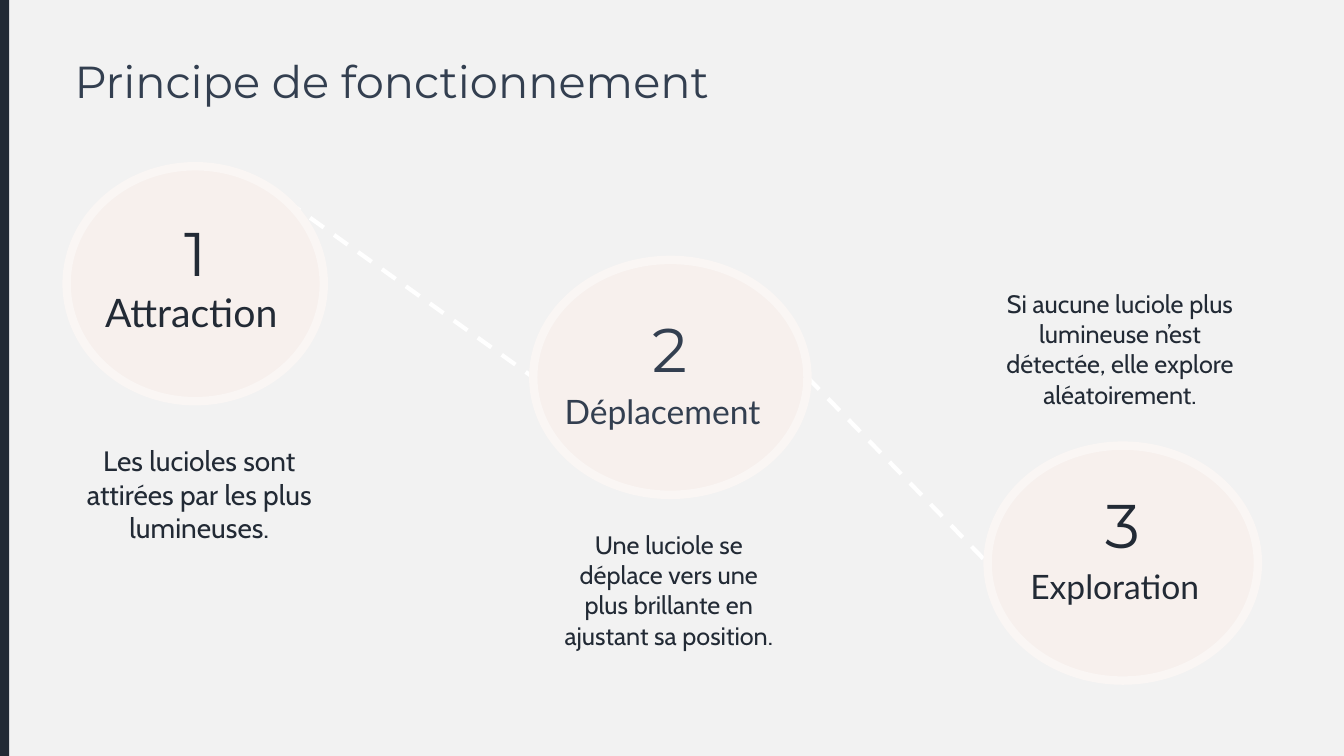
from math import cos, radians, sin

from lxml.etree import SubElement
from pptx import Presentation
from pptx.dml.color import RGBColor
from pptx.enum.dml import MSO_LINE
from pptx.enum.shapes import MSO_CONNECTOR as CONN, MSO_SHAPE as SHAPE
from pptx.enum.text import PP_ALIGN as ALIGN
from pptx.oxml.ns import qn
from pptx.util import Cm, Pt

DARK, SLATE = "222A35", "333F50"
LABEL_W, LABEL_H = 5.97, 3.33
STAGES = [
    dict(box=(1.68, 4.19, 6.48, 5.92), number="1", name="Attraction", size=28,
         color=DARK, label_dy=1.09, indent=0.2, lead=0,
         note="Les lucioles sont attirées par les plus lumineuses.",
         note_box=(1.57, 11.05, 6.91, 3.68), note_size=20),
    dict(box=(13.44, 6.55, 6.91, 5.92), number="2", name="Déplacement", size=24,
         color=SLATE, label_dy=1.17, indent=0.4, lead=4,
         note="Une luciole se déplace vers une plus brillante en ajustant sa position.",
         note_box=(13.87, 13.21, 5.97, 4.11), note_size=18),
    dict(box=(24.89, 11.23, 6.81, 5.92), number="3", name="Exploration", size=24,
         color=DARK, label_dy=0.91, indent=0.4, lead=4,
         note="Si aucune luciole plus lumineuse n’est détectée, elle explore aléatoirement.",
         note_box=(24.82, 7.14, 6.81, 3.33), note_size=18),
]


def rgb(value):
    return RGBColor.from_string(value)


def cm(values):
    return [Cm(v) for v in values]


def add_run(p, text, size, font, color):
    r = p.add_run()
    r.text = text
    r.font.size = Pt(size)
    r.font.name = font
    r.font.color.rgb = rgb(color)


def add_box(s, box):
    tf = s.shapes.add_textbox(*cm(box)).text_frame
    tf.word_wrap = True
    return tf


def add_shape(s, kind, box, fill, line=None):
    sp = s.shapes.add_shape(kind, *cm(box))
    sp.shadow.inherit = False
    sp.fill.solid()
    sp.fill.fore_color.rgb = rgb(fill)
    if line:
        sp.line.color.rgb = rgb(line)
        sp.line.width = Pt(6)
    else:
        sp.line.fill.background()


def rim_point(box, angle):
    x, y, w, h = box
    a = radians(angle)
    return x + w / 2 * (1 + cos(a)), y + h / 2 * (1 - sin(a))


def add_link(s, start, end):
    c = s.shapes.add_connector(CONN.STRAIGHT, *cm(start + end))
    c.line.color.rgb = rgb("FFFFFF")
    c.line.width = Pt(3)
    c.line.dash_style = MSO_LINE.DASH
    SubElement(c.element.spPr, qn("a:effectLst"))


def add_header(s, box):
    p = add_box(s, box).paragraphs[0]
    add_run(p, "Principe de fonctionnement", 32, "Montserrat", SLATE)


def add_stage(s, box, number, name, size, color, label_dy, indent, lead,
              note, note_box, note_size):
    x, y, w, h = box
    add_shape(s, SHAPE.OVAL, box, "F7F0ED", "FAF6F4")

    tf = add_box(s, (x + (w - LABEL_W) / 2, y + label_dy, LABEL_W, LABEL_H))
    p = tf.paragraphs[0]
    p.alignment = ALIGN.CENTER
    add_run(p, number, 44, "Montserrat", color)
    p = tf.add_paragraph()
    p.alignment = ALIGN.CENTER
    p.space_before = Pt(lead)
    p._p.get_or_add_pPr().set("marR", str(Cm(indent)))
    add_run(p, name, size, "Lato", color)

    p = add_box(s, note_box).paragraphs[0]
    p.alignment = ALIGN.CENTER
    add_run(p, note, note_size, "Cabin", DARK)


def main():
    prs = Presentation()
    prs.slide_width, prs.slide_height = Cm(33.87), Cm(19.05)
    s = prs.slides.add_slide(prs.slide_layouts[6])
    s.background.fill.solid()
    s.background.fill.fore_color.rgb = rgb("F2F2F2")

    first, second, third = [stage["box"] for stage in STAGES]
    add_link(s, rim_point(second, 0), rim_point(third, 180))
    add_link(s, rim_point(first, 45), rim_point(second, 180))
    add_shape(s, SHAPE.RECTANGLE, (0, 0, 0.23, 19.05), DARK)
    add_header(s, (1.63, 1.24, 27.05, 1.63))
    for stage in STAGES:
        add_stage(s, **stage)
    prs.save("out.pptx")


if __name__ == "__main__":
    main()
